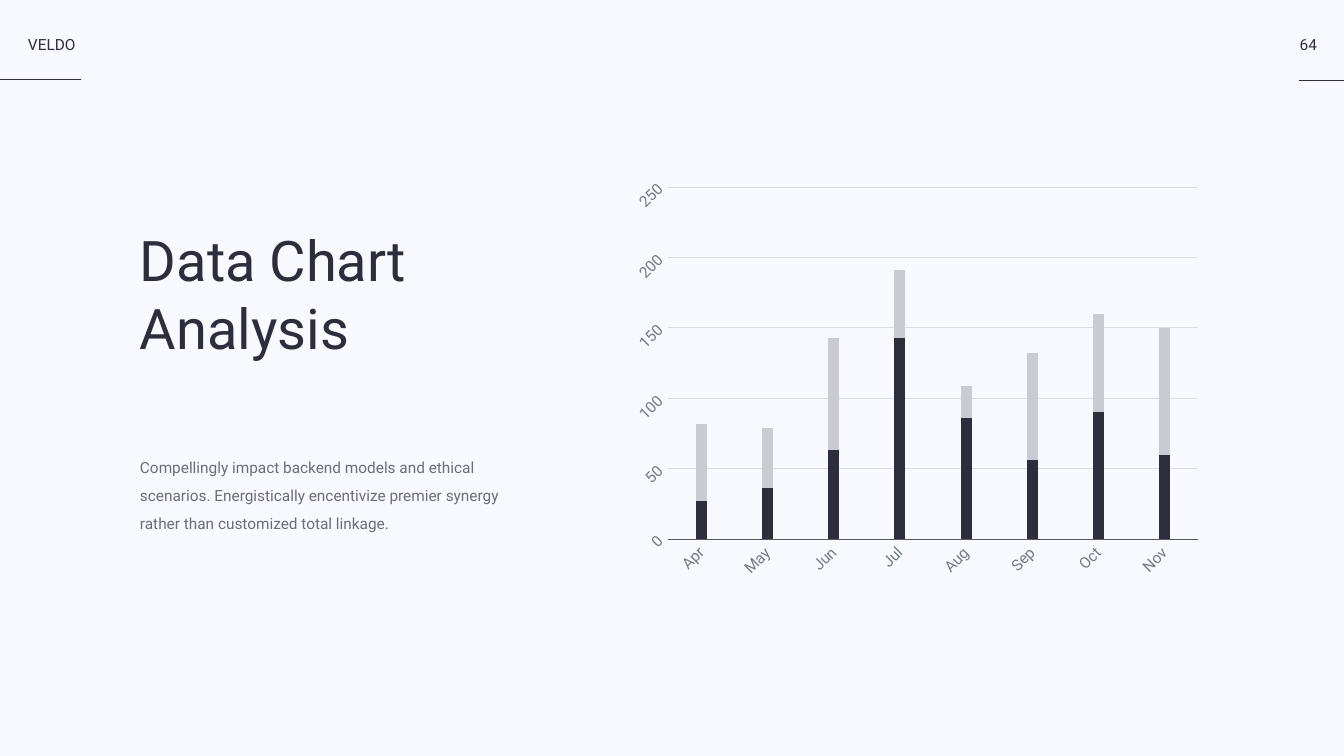
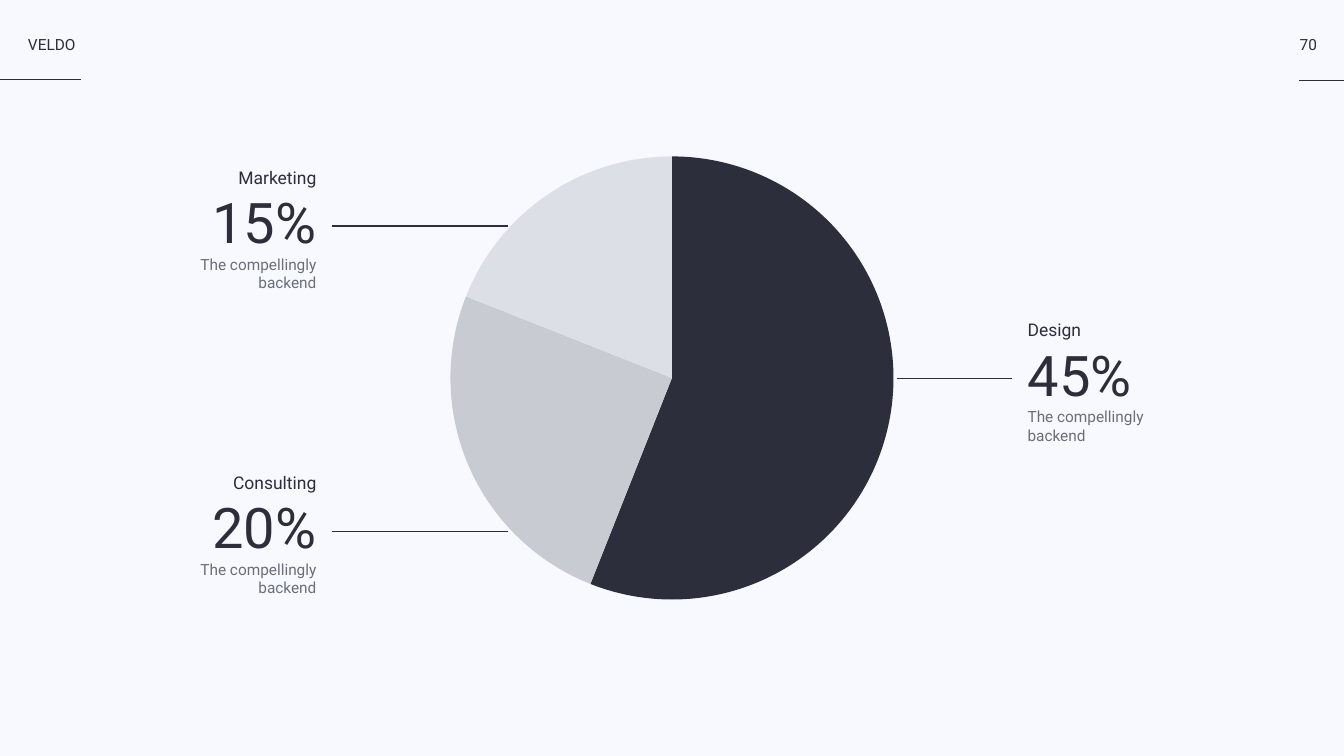
from collections import namedtuple

from lxml import etree
from pptx import Presentation
from pptx.chart.data import CategoryChartData
from pptx.dml.color import RGBColor
from pptx.enum.chart import XL_CHART_TYPE as ChartKind
from pptx.enum.chart import XL_TICK_LABEL_POSITION as LabelPlace
from pptx.enum.chart import XL_TICK_MARK as TickMark
from pptx.enum.shapes import MSO_CONNECTOR as Connector
from pptx.enum.text import MSO_ANCHOR as Anchor
from pptx.enum.text import PP_ALIGN as Align
from pptx.oxml.ns import qn
from pptx.util import Inches, Pt

WIDTH, HEIGHT = 26.67, 15
COLUMNS, ROWS = 96, 54
FONT = "Roboto"
COLORS = {
    "paper": "F7F9FF",
    "ink": "2C2E3C",
    "body": "6A6E77",
    "label": "747A82",
    "axis": "56585E",
    "grid": "DCDEE0",
    "silver": "C8CBD1",
    "mist": "DCE0E6",
}
SIZES = {"display": 80, "heading": 25, "text": 22}

Box = namedtuple("Box", "left top width height")


def color(name):
    return RGBColor.from_string(COLORS[name])


def across(columns):
    return Inches(columns * WIDTH / COLUMNS)


def down(rows):
    return Inches(rows * HEIGHT / ROWS)


def place(box):
    return across(box.left), down(box.top), across(box.width), down(box.height)


def add_rule(page, start, end, row):
    rule = page.shapes.add_connector(
        Connector.STRAIGHT, across(start), down(row), across(end), down(row)
    )
    rule.line.color.rgb = color("ink")
    rule.line.width = Pt(2)
    etree.SubElement(rule._element.spPr, qn("a:effectLst"))


def add_text(page, box, lines, align=Align.LEFT, spacing=None):
    frame = page.shapes.add_textbox(*place(box)).text_frame
    frame.word_wrap = True
    frame.vertical_anchor = Anchor.TOP
    frame.margin_left = frame.margin_right = 0
    frame.margin_top = frame.margin_bottom = 0
    for index, (text, size, tone) in enumerate(lines):
        para = frame.paragraphs[0] if index == 0 else frame.add_paragraph()
        para.alignment = align
        if spacing:
            para.line_spacing = spacing
        for part, piece in enumerate(text.split("\n")):
            if part:
                para.add_line_break()
            span = para.add_run()
            span.text = piece
            span.font.name = FONT
            span.font.size = Pt(SIZES[size])
            span.font.color.rgb = color(tone)


def add_page(deck, number):
    page = deck.slides.add_slide(deck.slide_layouts[6])
    page.background.fill.solid()
    page.background.fill.fore_color.rgb = color("paper")
    add_rule(page, 0, 5.8, 5.7)
    add_text(page, Box(2, 2.5, 3.8, 1.44), [("VELDO", "text", "ink")])
    add_rule(page, 92.8, COLUMNS, 5.76)
    add_text(page, Box(92.8, 2.5, 1.3, 1.44), [(number, "text", "ink")], Align.CENTER)
    return page


def add_plain_chart(page, box, kind, categories, series, plot_shares):
    data = CategoryChartData()
    data.categories = categories
    for name, values in series:
        data.add_series(name, values)
    chart = page.shapes.add_chart(kind, *place(box), data).chart
    chart.has_legend = False
    chart.has_title = False
    chart.font.name = FONT
    chart.font.size = Pt(SIZES["text"])
    chart.font.color.rgb = color("label")
    plot_area = chart._chartSpace.chart.plotArea
    for old in plot_area.findall(qn("c:layout")):
        plot_area.remove(old)
    layout = etree.Element(qn("c:layout"))
    manual = etree.SubElement(layout, qn("c:manualLayout"))
    settings = [("layoutTarget", "inner"), ("xMode", "edge"), ("yMode", "edge")]
    settings += zip("xywh", plot_shares)
    for tag, value in settings:
        etree.SubElement(manual, qn(f"c:{tag}")).set("val", str(value))
    plot_area.insert(0, layout)
    return chart


def fill_with(item, name):
    item.format.fill.solid()
    item.format.fill.fore_color.rgb = color(name)


def style_axis(axis):
    axis.major_tick_mark = axis.minor_tick_mark = TickMark.NONE
    labels = axis.tick_labels
    labels.font.name = FONT
    labels.font.size = Pt(SIZES["text"])
    labels.font.color.rgb = color("label")
    body = axis._element.find(qn("c:txPr")).find(qn("a:bodyPr"))
    body.set("rot", "-2700000")
    body.set("vert", "horz")


def add_month_columns(page, box):
    series = [
        ("Series 1", (27, 36, 63, 143, 86, 56, 90, 60)),
        ("Series 2", (55, 43, 80, 48, 23, 76, 70, 90)),
    ]
    months = ["Apr", "May", "Jun", "Jul", "Aug", "Sep", "Oct", "Nov"]
    chart = add_plain_chart(
        page, box, ChartKind.COLUMN_STACKED, months, series, (0.08, 0.05, 0.91, 0.83)
    )
    plot = chart.plots[0]
    plot.gap_width, plot.overlap = 500, 100
    plot.vary_by_categories = False
    for item, name in zip(plot.series, ("ink", "silver")):
        fill_with(item, name)

    month_axis, value_axis = chart.category_axis, chart.value_axis
    style_axis(month_axis)
    month_axis.tick_label_position = LabelPlace.LOW
    month_axis.format.line.color.rgb = color("axis")
    month_axis.format.line.width = Pt(1)
    style_axis(value_axis)
    value_axis.minimum_scale, value_axis.maximum_scale = 0, 250
    value_axis.major_unit = 50
    value_axis.tick_labels.number_format = "#,##0"
    value_axis.tick_labels.number_format_is_linked = False
    value_axis.format.line.fill.background()
    value_axis.has_major_gridlines = True
    gridline = value_axis.major_gridlines.format.line
    gridline.color.rgb = color("grid")
    gridline.width = Pt(1)


def add_share_pie(page, box):
    chart = add_plain_chart(
        page, box, ChartKind.PIE, ["1", "2", "3"],
        [("Series 1", (56, 25, 19))], (0.01, 0.01, 0.98, 0.98),
    )
    plot = chart.plots[0]
    plot.vary_by_categories = False
    pie = plot.series[0]
    fill_with(pie, "ink")
    for index, name in enumerate(("ink", "silver", "mist")):
        fill_with(pie.points[index], name)
        pie.points[index].format.line.fill.background()


def add_callout(page, box, heading, share, on_right=False):
    gap, row = 1.1, box.top + 4.25
    if on_right:
        add_rule(page, box.left - gap - 8.25, box.left - gap, row)
    else:
        edge = box.left + box.width + gap
        add_rule(page, edge, edge + 12.6, row)
    lines = [
        (heading, "heading", "ink"),
        (share, "display", "ink"),
        ("The compellingly\nbackend", "text", "body"),
    ]
    add_text(page, box, lines, Align.LEFT if on_right else Align.RIGHT)


def add_introduction(page, box):
    title = [(text, "display", "ink") for text in ("Data Chart", "Analysis")]
    body = [
        (text, "text", "body")
        for text in (
            "Compellingly impact backend models and ethical",
            "scenarios. Energistically encentivize premier synergy",
            "rather than customized total linkage.",
        )
    ]
    add_text(page, Box(box.left, box.top, box.width * 0.78, 10.58), title)
    add_text(page, Box(box.left, box.top + 15.95, box.width, 5.8), body, spacing=1.5)


def build_analysis(deck):
    page = add_page(deck, "64")
    add_month_columns(page, Box(44.42, 11.84, 41.54, 30.31))
    add_introduction(page, Box(10, 16.13, 26, 21.75))


def build_shares(deck):
    page = add_page(deck, "70")
    add_share_pie(page, Box(31.85, 10.85, 32.3, 32.3))
    add_callout(page, Box(73.4, 22.8, 12.6, 8.4), "Design", "45%", on_right=True)
    add_callout(page, Box(10, 11.9, 12.6, 8.4), "Marketing", "15%")
    add_callout(page, Box(10, 33.7, 12.6, 8.4), "Consulting", "20%")


def main():
    deck = Presentation()
    deck.slide_width, deck.slide_height = Inches(WIDTH), Inches(HEIGHT)
    build_analysis(deck)
    build_shares(deck)
    deck.save("out.pptx")


if __name__ == "__main__":
    main()
